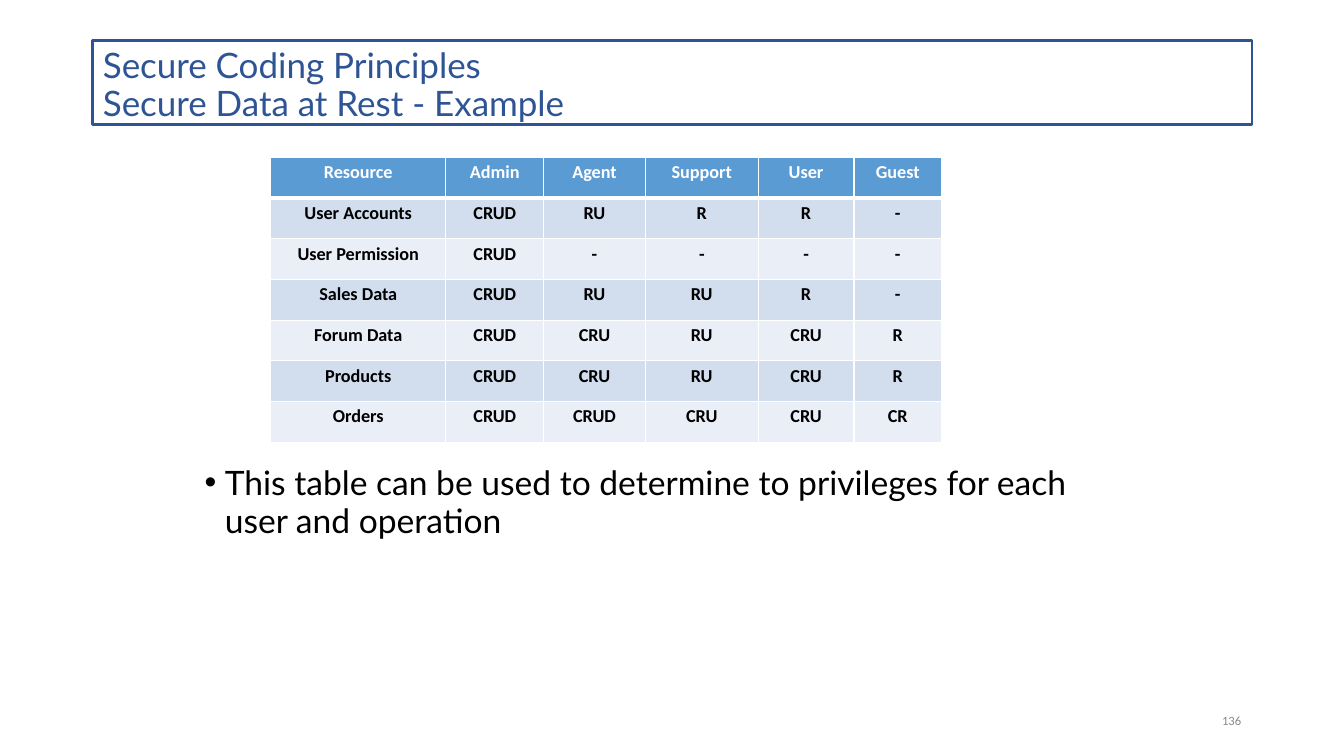
from dataclasses import dataclass
from typing import Any, NamedTuple

import pptx
import pptx.dml.color
import pptx.enum.text
import pptx.oxml
import pptx.oxml.ns
import pptx.util

Pt = pptx.util.Pt
Align = pptx.enum.text.PP_ALIGN
NS = pptx.oxml.ns.nsdecls("a")

NAVY, BLACK, WHITE, GRAY = "2E5496", "000000", "FFFFFF", "888888"
HEAD, BANDS = "5B9BD4", ("D2DEEE", "EAEEF7")


class Box(NamedTuple):
    left: float
    top: float
    width: float
    height: float


@dataclass
class Style:
    face: str
    size: float
    color: str
    bold: bool = False
    align: Any = Align.LEFT
    lead: float | None = None


@dataclass
class Row:
    name: str
    rights: str

    def cells(self) -> list[str]:
        return [self.name, *self.rights.split()]


TITLE = Style("Lato", 25, NAVY, lead=27)
BODY = Style("Lato", 24, BLACK, lead=27.3)
PAGE = Style("Calibri", 9, GRAY, lead=9.6)
TOP = Style("Calibri", 13, WHITE, True, Align.CENTER)
CELL = Style("Calibri", 13, BLACK, True, Align.CENTER)

WIDTHS = (125.3, 69.8, 72.7, 80.6, 68.4, 62.6)
HIGH = 29.1
ROWS = [
    Row("Resource", "Admin Agent Support User Guest"),
    Row("User Accounts", "CRUD RU R R -"),
    Row("User Permission", "CRUD - - - -"),
    Row("Sales Data", "CRUD RU RU R -"),
    Row("Forum Data", "CRUD CRU RU CRU R"),
    Row("Products", "CRUD CRU RU CRU R"),
    Row("Orders", "CRUD CRUD CRU CRU CR"),
]


def rgb(code: str) -> pptx.dml.color.RGBColor:
    return pptx.dml.color.RGBColor.from_string(code)


def apply(item: Any, values: dict[str, Any]) -> None:
    for key, value in values.items():
        setattr(item, key, value)


def paint(fill: Any, code: str) -> None:
    fill.solid()
    fill.fore_color.rgb = rgb(code)


def pad(left: float = 0, top: float = 0) -> dict[str, Any]:
    return {"margin_left": Pt(left), "margin_top": Pt(top),
            "margin_right": Pt(0), "margin_bottom": Pt(0)}


def write(frame: Any, text: str, style: Style) -> None:
    frame.text = text
    para = frame.paragraphs[0]
    apply(para, {"alignment": style.align, "space_before": Pt(0)})
    if style.lead:
        para.line_spacing = Pt(style.lead)
    for run in para.runs:
        apply(run.font, {"name": style.face, "size": Pt(style.size), "bold": style.bold})
        run.font.color.rgb = rgb(style.color)


def place(shape: Any, box: Box, text: str, style: Style, left: float = 0, top: float = 0) -> None:
    apply(shape, {key: Pt(value) for key, value in box._asdict().items()})
    apply(shape.text_frame, pad(left, top) | {
        "word_wrap": True,
        "auto_size": pptx.enum.text.MSO_AUTO_SIZE.NONE,
        "vertical_anchor": pptx.enum.text.MSO_ANCHOR.TOP,
    })
    write(shape.text_frame, text, style)


def bullet(para: Any, hang: float) -> None:
    props = para._p.get_or_add_pPr()
    props.set("marL", str(Pt(hang)))
    props.set("indent", str(-Pt(hang)))
    for tag in ('buFont {} typeface="Arial"', 'buChar {} char="•"'):
        props.append(pptx.oxml.parse_xml(f"<a:{tag.format(NS)}/>"))


def edge(cell: Any, side: str, width: float) -> None:
    cell._tc.get_or_add_tcPr().append(pptx.oxml.parse_xml(
        f'<a:ln{side} {NS} w="{Pt(width)}"><a:solidFill>'
        f'<a:srgbClr val="{WHITE}"/></a:solidFill></a:ln{side}>'))


def grid(slide: Any, box: Box) -> None:
    table = slide.shapes.add_table(len(ROWS), len(WIDTHS), *map(Pt, box)).table
    apply(table, {"first_row": False, "horz_banding": False})
    for col, width in zip(table.columns, WIDTHS):
        col.width = Pt(width)
    for r, row in enumerate(ROWS):
        table.rows[r].height = Pt(HIGH)
        for c, text in enumerate(row.cells()):
            cell = table.cell(r, c)
            apply(cell, pad(top=2.9))
            # The rule under the header is thicker than the rest
            for side, width in {"L": 1, "R": 1, "T": 3 if r == 1 else 1,
                                "B": 3 if r == 0 else 1}.items():
                edge(cell, side, width)
            paint(cell.fill, BANDS[(r - 1) % 2] if r else HEAD)
            write(cell.text_frame, text, CELL if r else TOP)


def main() -> None:
    deck = pptx.Presentation()
    apply(deck, {"slide_width": Pt(960), "slide_height": Pt(540)})
    slide = deck.slides.add_slide(deck.slide_layouts[1])
    title, body = slide.placeholders

    # Framed title
    place(title, Box(66.3, 28.9, 828, 60), "Secure Coding Principles\vSecure Data at Rest - Example",
          TITLE, 7.2, 5)
    title.line.color.rgb = rgb(NAVY)
    title.line.width = Pt(2.04)

    # Bulleted remark
    place(body, Box(146.2, 330.5, 626.4, 57),
          "This table can be used to determine to privileges for each user and operation",
          BODY, top=0.7)
    bullet(body.text_frame.paragraphs[0], 14.4)

    # Access rights
    grid(slide, Box(193.2, 112.3, sum(WIDTHS), HIGH * len(ROWS)))

    # Page number
    spot = Box(870, 510.5, 21, 10)
    place(slide.shapes.add_textbox(*map(Pt, spot)), spot, "136", PAGE, 2.9)

    deck.save("out.pptx")


if __name__ == "__main__":
    main()
